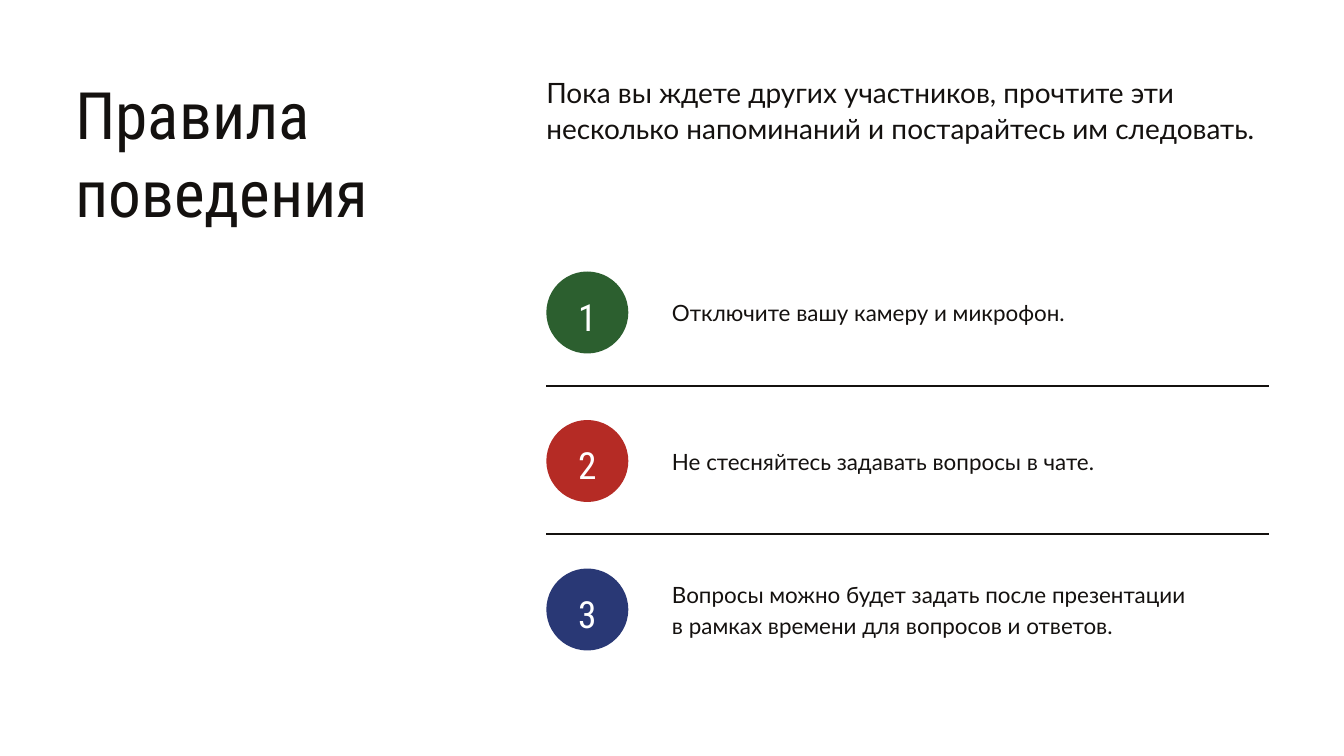
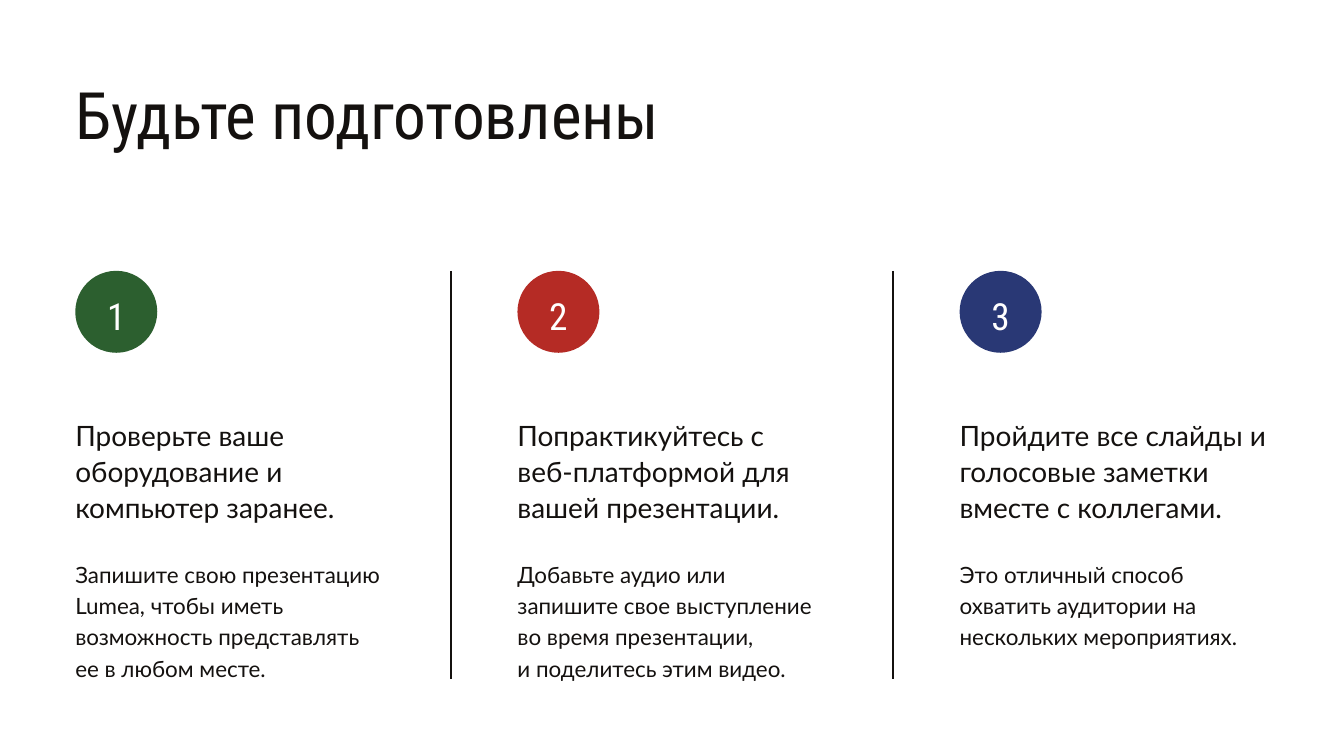
"""Build two slides: rules of conduct and steps to get ready."""
from dataclasses import dataclass

import pptx
import pptx.dml.color
import pptx.enum.shapes
import pptx.enum.text
import pptx.oxml.ns
import pptx.presentation
import pptx.shapes.base
import pptx.slide
import pptx.text.text
import pptx.util
from lxml import etree

Inches = pptx.util.Inches
Align = pptx.enum.text.PP_ALIGN
Anchor = pptx.enum.text.MSO_ANCHOR

COLORS = {
    "ink": "14110F",
    "paper": "FFFFFF",
    "green": "2C5F2F",
    "red": "B52B25",
    "blue": "293875",
}
HUES = ("green", "red", "blue")
HEAD, BODY = "Roboto Condensed", "Lato"
LEFT, RIGHT = 1.12, 18.88
BADGE = 1.22
LEAD = {"size": 30, "pitch": 39}
SMALL = {"size": 24, "pitch": 33.6}


@dataclass(frozen=True)
class Step:
    lead: str
    note: str


RULES = (
    "Отключите вашу камеру и микрофон.",
    "Не стесняйтесь задавать вопросы в чате.",
    "Вопросы можно будет задать после презентации\n"
    "в рамках времени для вопросов и ответов.",
)
STEPS = (
    Step(
        "Проверьте ваше оборудование и компьютер заранее.",
        "Запишите свою презентацию Lumea, чтобы иметь возможность "
        "представлять ее в любом месте.",
    ),
    Step(
        "Попрактикуйтесь с\nвеб-платформой для вашей презентации.",
        "Добавьте аудио или запишите свое выступление во время презентации,\n"
        "и поделитесь этим видео.",
    ),
    Step(
        "Пройдите все слайды и голосовые заметки вместе с коллегами.",
        "Это отличный способ охватить аудитории на нескольких мероприятиях.",
    ),
)


def shade(key: str) -> pptx.dml.color.RGBColor:
    return pptx.dml.color.RGBColor.from_string(COLORS[key])


def write(
    frame: pptx.text.text.TextFrame,
    text: str,
    *,
    size: float,
    pitch: float,
    font: str = BODY,
    color: str = "ink",
    align: Align = Align.LEFT,
    anchor: Anchor = Anchor.TOP,
    drop: float = 0,
) -> None:
    frame.text = text
    frame.word_wrap = True
    frame.auto_size = pptx.enum.text.MSO_AUTO_SIZE.NONE
    frame.vertical_anchor = anchor
    frame.margin_left = frame.margin_right = frame.margin_bottom = 0
    frame.margin_top = Inches(drop)
    for line in frame.paragraphs:
        line.alignment = align
        line.line_spacing = pptx.util.Pt(pitch)
        line.space_before = line.space_after = pptx.util.Pt(0)
        line.font.name = font
        line.font.size = pptx.util.Pt(size)
        line.font.color.rgb = shade(color)


def add_text(
    slide: pptx.slide.Slide,
    text: str,
    x: float,
    y: float,
    width: float,
    height: float,
    **style,
) -> None:
    box = slide.shapes.add_textbox(*map(Inches, (x, y, width, height)))
    write(box.text_frame, text, **style)


def add_badge(slide: pptx.slide.Slide, index: int, x: float, y: float) -> None:
    badge = slide.shapes.add_shape(
        pptx.enum.shapes.MSO_SHAPE.OVAL, *map(Inches, (x, y, BADGE, BADGE))
    )
    badge.shadow.inherit = False
    badge.fill.solid()
    badge.fill.fore_color.rgb = shade(HUES[index])
    badge.line.fill.background()
    write(
        badge.text_frame,
        str(index + 1),
        size=40,
        pitch=48,
        font=HEAD,
        color="paper",
        align=Align.CENTER,
        anchor=Anchor.MIDDLE,
        drop=0.11,
    )


def add_rule(
    slide: pptx.slide.Slide, x1: float, y1: float, x2: float, y2: float
) -> None:
    rule = slide.shapes.add_connector(
        pptx.enum.shapes.MSO_CONNECTOR.STRAIGHT, *map(Inches, (x1, y1, x2, y2))
    )
    rule.line.color.rgb = shade("ink")
    rule.line.width = pptx.util.Pt(2.25)
    etree.SubElement(rule.element.spPr, pptx.oxml.ns.qn("a:effectLst"))


def add_slide(
    deck: pptx.presentation.Presentation, title: str, width: float, height: float
) -> pptx.slide.Slide:
    slide = deck.slides.add_slide(deck.slide_layouts.get_by_name("Title Only"))
    slide.background.fill.solid()
    slide.background.fill.fore_color.rgb = shade("paper")
    head = slide.shapes.title
    head.left, head.top = Inches(LEFT), Inches(1.1)
    head.width, head.height = Inches(width), Inches(height)
    write(head.text_frame, title, size=70, pitch=84, font=HEAD)
    return slide


def add_rules(deck: pptx.presentation.Presentation) -> None:
    slide = add_slide(deck, "Правила поведения", 5.89, 2.35)
    x, top, step = 8.13, 4.04, 2.21
    add_text(
        slide,
        "Пока вы ждете других участников, прочтите эти несколько напоминаний "
        "и постарайтесь им следовать.",
        x, 1.08, RIGHT - x, 1.08, **LEAD,
    )
    for index, text in enumerate(RULES):
        y = top + index * step
        if index:
            add_rule(slide, x, y - 0.51, RIGHT, y - 0.51)
        add_badge(slide, index, x, y)
        add_text(
            slide, text, 10, y + 0.12, 8.56, 0.92, anchor=Anchor.MIDDLE, **SMALL
        )


def add_steps(deck: pptx.presentation.Presentation) -> None:
    slide = add_slide(deck, "Будьте подготовлены", RIGHT - LEFT, 1.19)
    top, pitch, width = 4.03, 6.58, 4.62
    for index, step in enumerate(STEPS):
        x = LEFT + index * pitch
        if index:
            add_rule(slide, x - 0.99, top, x - 0.99, 10.1)
        add_badge(slide, index, x, top)
        add_text(slide, step.lead, x, 6.18, width, 1.61, **LEAD)
        add_text(slide, step.note, x, 8.28, width, 1.84, **SMALL)


def main() -> None:
    deck = pptx.Presentation()
    deck.slide_width, deck.slide_height = Inches(20), Inches(11.25)
    add_rules(deck)
    add_steps(deck)
    deck.save("out.pptx")


if __name__ == "__main__":
    main()
